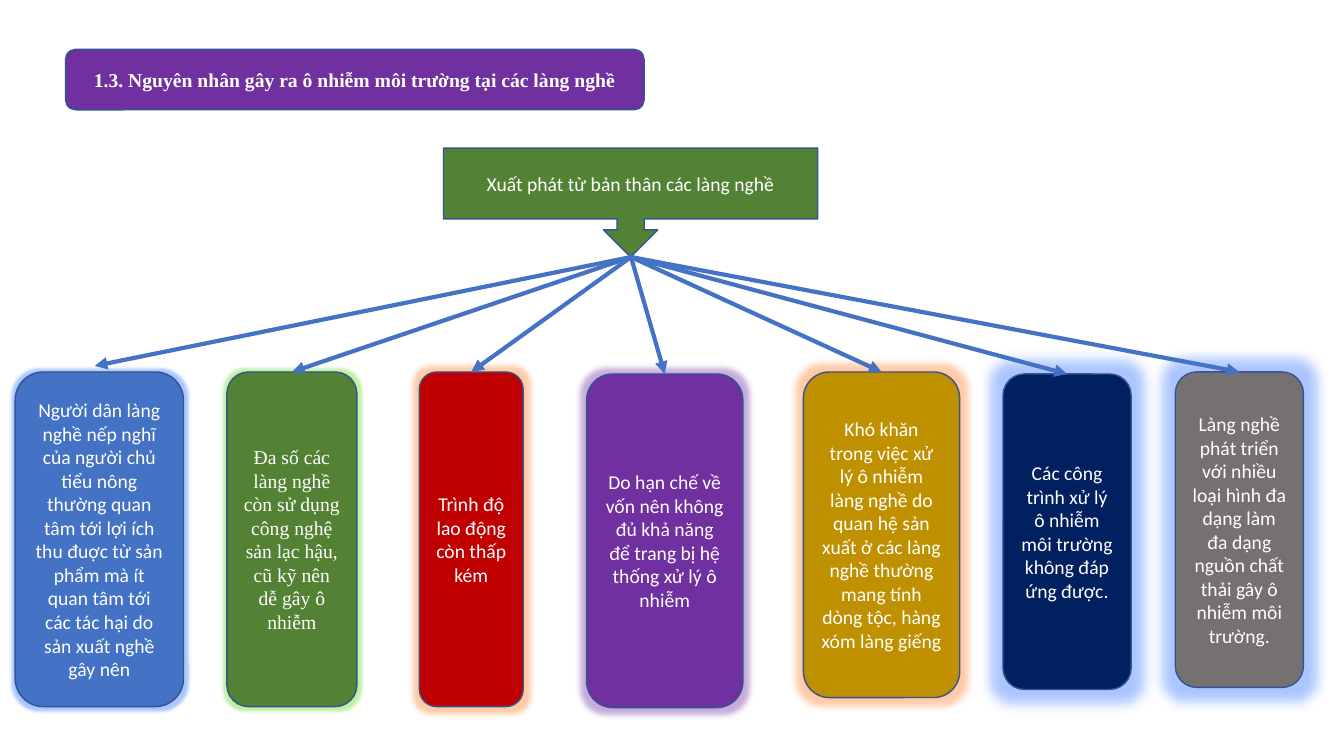
from lxml.etree import SubElement
from pptx import Presentation
from pptx.dml.color import RGBColor
from pptx.enum.shapes import MSO_CONNECTOR, MSO_SHAPE
from pptx.enum.text import MSO_ANCHOR, PP_ALIGN
from pptx.oxml.ns import qn
from pptx.util import Inches, Pt

prs = Presentation()
prs.slide_width, prs.slide_height = Inches(13.33), Inches(7.5)
s = prs.slides.add_slide(prs.slide_layouts[6])

# The grid has 100 columns and 100 rows
COL, ROW = prs.slide_width / 100, prs.slide_height / 100
BLUE, GREEN, PURPLE = "4472C4", "548235", "7030A0"
BLUE_GLOW, GREEN_GLOW, ORANGE_GLOW = "2E6FFF", "64DB1E", "FF7A1F"
SERIF = "Times New Roman"


def rgb(value):
    return RGBColor.from_string(value)


def write(sp, text, font="Calibri", size=14, bold=False, color="FFFFFF"):
    tf = sp.text_frame
    tf.word_wrap = True
    tf.vertical_anchor = MSO_ANCHOR.MIDDLE
    p = tf.paragraphs[0]
    p.alignment = PP_ALIGN.CENTER
    r = p.add_run()
    r.text = text
    r.font.name, r.font.size, r.font.bold = font, Pt(size), bold
    r.font.color.rgb = rgb(color)


# Preset, (left, top, width, height), fill, glow (colour, points), text, format
ROUND = MSO_SHAPE.ROUNDED_RECTANGLE
headings = [
    (ROUND, (4.88, 6.53, 43.05, 8), PURPLE, None,
     "1.3. Nguyên nhân gây ra ô nhiễm môi trường tại các làng nghề",
     {"font": SERIF, "bold": True}),
    (MSO_SHAPE.DOWN_ARROW_CALLOUT, (33, 19.6, 27.85, 14.4), GREEN, None,
     "Xuất phát từ bản thân các làng nghề", {}),
]
causes = [
    (ROUND, (1.13, 49.2, 12.53, 44.27), BLUE, (BLUE_GLOW, 5),
     "Người dân làng nghề nếp nghĩ của người chủ tiểu nông thường quan tâm "
     "tới lợi ích thu đuợc từ sản phẩm mà ít quan tâm tới các tác hại do "
     "sản xuất nghề gây nên", {}),
    (ROUND, (16.88, 49.2, 9.68, 44.27), GREEN, (GREEN_GLOW, 5),
     "Đa số các làng nghề còn sử dụng công nghệ sản lạc hậu, cũ kỹ nên "
     "dễ gây ô nhiễm", {"font": SERIF}),
    (ROUND, (31.2, 49.2, 7.73, 44.27), "C00000", (ORANGE_GLOW, 8),
     "Trình độ lao động còn thấp kém", {}),
    (ROUND, (43.65, 49.47, 11.63, 44.13), PURPLE, (PURPLE, 8),
     "Do hạn chế về vốn nên không đủ khả năng để trang bị hệ thống xử lý "
     "ô nhiễm", {}),
    (ROUND, (59.78, 49.2, 11.63, 43.07), "BF9000", (ORANGE_GLOW, 11),
     "Khó khăn trong việc xử lý ô nhiễm làng nghề do quan hệ sản xuất ở các "
     "làng nghề thường mang tính dòng tộc, hàng xóm làng giếng", {}),
    (ROUND, (74.63, 49.47, 9.53, 41.73), "002060", (BLUE_GLOW, 18),
     "Các công trình xử lý ô nhiễm môi trường không đáp ứng được.", {}),
    (ROUND, (87.45, 49.2, 9.53, 41.73), "767171", (BLUE_GLOW, 18),
     "Làng nghề phát triển với nhiều loại hình đa dạng làm đa dạng nguồn "
     "chất thải gây ô nhiễm môi trường.", {}),
]

for preset, (x, y, w, h), fill, glow, text, style in headings + causes:
    sp = s.shapes.add_shape(preset, int(x * COL), int(y * ROW),
                            int(w * COL), int(h * ROW))
    sp.shadow.inherit = False
    sp.fill.solid()
    sp.fill.fore_color.rgb = rgb(fill)
    sp.line.color.rgb = rgb("325491")
    sp.line.width = Pt(1)
    if glow:
        color, radius = glow
        effects = sp._element.spPr.find(qn("a:effectLst"))
        halo = SubElement(effects, qn("a:glow"), rad=str(Pt(radius)))
        tint = SubElement(halo, qn("a:srgbClr"), val=color)
        SubElement(tint, qn("a:alpha"), val="40000")
    write(sp, text, **style)

# Arrows fan out from the callout's point to the top centre of each cause
targets = [(x + w / 2, y) for _, (x, y, w, h), *_ in causes]
targets[0] = (7.05, 48.4)
for x, y in targets:
    arrow = s.shapes.add_connector(MSO_CONNECTOR.STRAIGHT,
                                   int(46.95 * COL), int(34 * ROW),
                                   int(x * COL), int(y * ROW))
    arrow.line.color.rgb = rgb(BLUE)
    arrow.line.width = Pt(3)
    SubElement(arrow.line._get_or_add_ln(), qn("a:tailEnd"), type="triangle")
    SubElement(arrow._element.spPr, qn("a:effectLst"))

prs.save("out.pptx")
